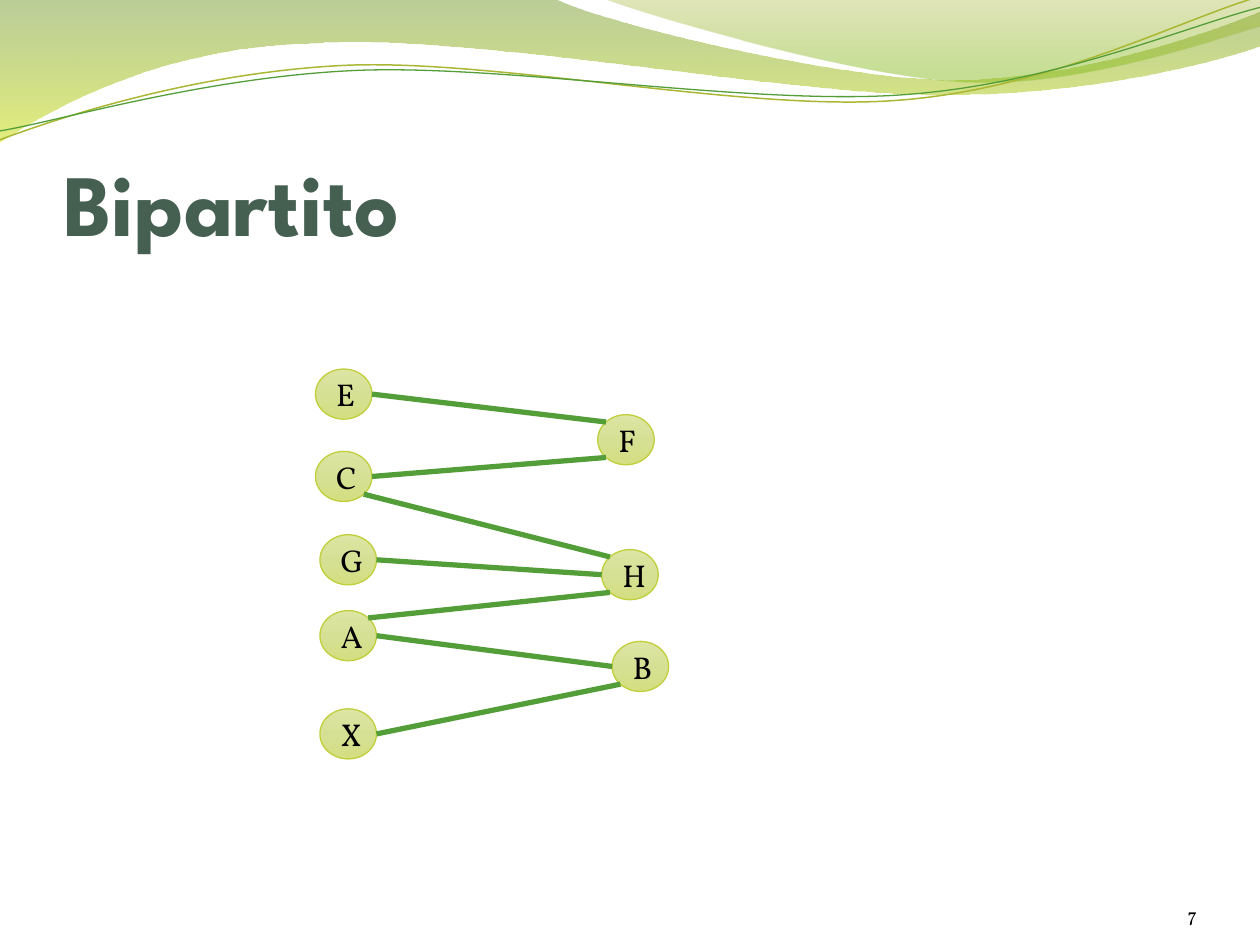
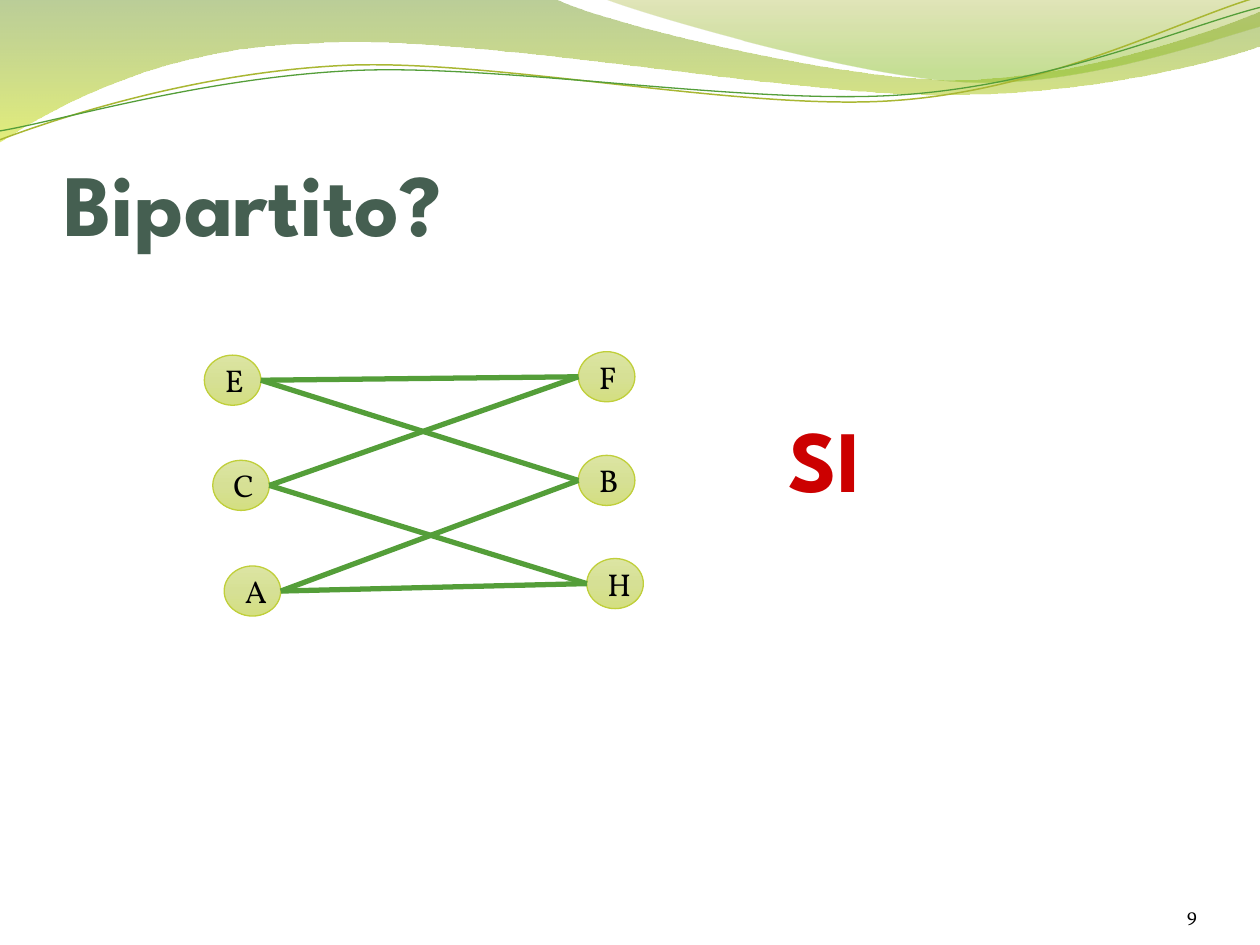
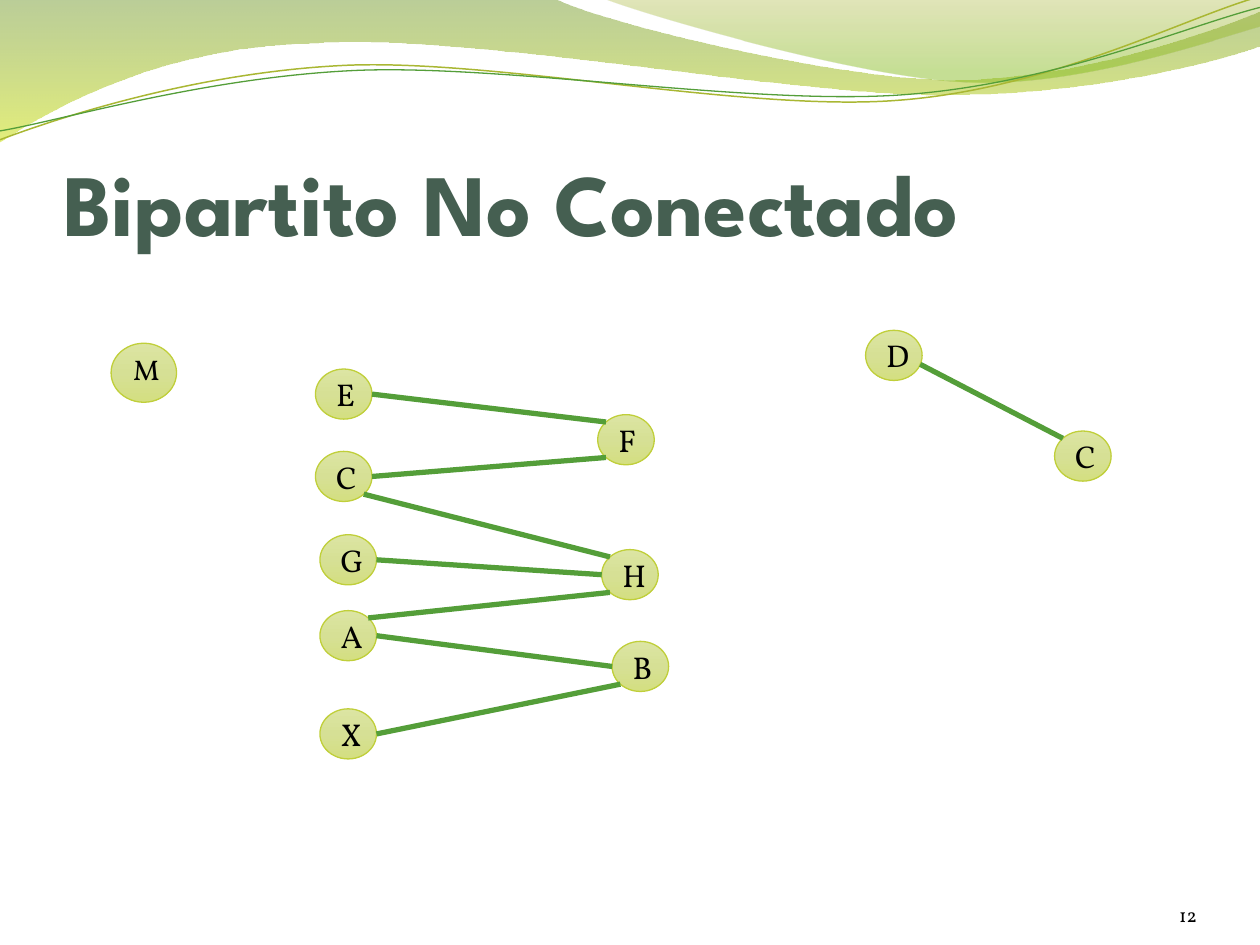
"""Build three slides about bipartite graphs."""
from dataclasses import dataclass
from math import cos, radians, sin
from typing import NamedTuple, Optional

from lxml.etree import SubElement
from pptx import Presentation
from pptx.dml.color import RGBColor
from pptx.enum.shapes import MSO_CONNECTOR as CONN, MSO_SHAPE as SHAPE
from pptx.enum.text import MSO_ANCHOR as ANCHOR, MSO_AUTO_SIZE as FIT, PP_ALIGN as ALIGN
from pptx.oxml.ns import qn
from pptx.util import Cm, Pt

HEAD_FONT, BODY_FONT = "League Spartan", "Vollkorn"
TITLE, ANSWER, BLACK = "455F51", "CC0000", "000000"
EDGE, NODE_LINE = "549E39", "C0CF3A"
RIGHT, LOWER_RIGHT, LOWER_LEFT, LEFT, UPPER_LEFT, UPPER_RIGHT = 0, 45, 135, 180, 225, 315
TILT = 357.3


class Stop(NamedTuple):
    pos: int
    color: str
    alpha: int = 100


class Edge(NamedTuple):
    a: str
    a_angle: float
    b: str
    b_angle: float


class Style(NamedTuple):
    font: str
    size: float
    color: str
    bold: bool = False
    align: ALIGN = ALIGN.LEFT


@dataclass(frozen=True)
class Node:
    name: str
    x: float
    y: float
    w: float = 1.14
    h: float = 1.01
    size: float = 18
    spacing: float = 1.0

    def site(self, angle: float) -> tuple:
        rx, ry, t = self.w / 2, self.h / 2, radians(angle)
        return Cm(self.x + rx + rx * cos(t)), Cm(self.y + ry + ry * sin(t))


@dataclass(frozen=True)
class Graph:
    nodes: tuple
    edges: tuple = ()


@dataclass(frozen=True)
class Wave:
    start: tuple
    pieces: tuple
    stops: tuple = ()
    color: str = ""
    width: float = 0


@dataclass(frozen=True)
class Page:
    title: str
    number: str
    graphs: tuple
    answer: Optional[str] = None


NODE_STOPS = (Stop(0, "DCE5A3"), Stop(50, "D6E095"), Stop(100, "D4DF81"))

WAVES = (
    Wave((0, 0), (
        (11.18, -0.03),
        (12.07, 0.43, 16.84, 1.6, 19.25, 1.6),
        (21.67, 1.6, 24.33, 0.66, 25.4, 0.23),
        (25.43, 0.91),
        (24.97, 1.12, 22.07, 1.93, 18.95, 1.91),
        (15.8, 1.91, 9.68, 0.71, 6.53, 0.86),
        (3.28, 0.91, 1.17, 2.11, -0.03, 2.87),
    ), stops=(Stop(0, "69921C", 45), Stop(100, "CCE10F", 55))),
    Wave((12.17, -0.03), (
        (12.93, 0.28, 17.32, 1.57, 19.51, 1.65),
        (21.72, 1.75, 24.41, 0.81, 25.4, 0.53),
        (25.4, 0),
    ), stops=(Stop(0, "9BAA1A", 30), Stop(80, "81BA16", 45))),
    Wave((-0.05, 2.22), (
        (1.19, 1.82, 4, 1.04, 7.02, 1.05),
        (10.05, 1.07, 15, 2.37, 18.05, 2.28),
        (21.13, 2.2, 23.87, 0.91, 25.38, 0.55),
    ), color="A9B733", width=0.85),
    Wave((-0.04, 2.04), (
        (1.16, 1.9, 4.15, 1.15, 7.2, 1.16),
        (10.22, 1.18, 15.13, 2.25, 18.18, 2.17),
        (21.21, 2.1, 23.93, 1.06, 25.45, 0.75),
    ), color=EDGE, width=0.75),
)

TREE = Graph(
    (Node("E", 6.36, 7.44), Node("C", 6.36, 9.1), Node("G", 6.45, 10.78),
     Node("A", 6.45, 12.31), Node("X", 6.45, 14.29),
     Node("F", 12.05, 8.36), Node("H", 12.13, 11.08), Node("B", 12.34, 12.93)),
    (Edge("E", RIGHT, "F", UPPER_LEFT), Edge("C", RIGHT, "F", LOWER_LEFT),
     Edge("C", LOWER_RIGHT, "H", UPPER_LEFT), Edge("G", RIGHT, "H", LEFT),
     Edge("A", UPPER_RIGHT, "H", LOWER_LEFT), Edge("A", RIGHT, "B", LEFT),
     Edge("X", RIGHT, "B", LOWER_LEFT)))

CYCLE = Graph(
    (Node("E", 4.12, 7.16), Node("C", 4.29, 9.28), Node("A", 4.52, 11.41),
     Node("F", 11.66, 7.09), Node("B", 11.66, 9.18), Node("H", 11.83, 11.26)),
    tuple(Edge(a, RIGHT, b, LEFT) for a, b in ("EF", "EB", "CF", "CH", "AB", "AH")))

PAIR = Graph((Node("D", 17.45, 6.66), Node("C", 21.26, 8.69)),
             (Edge("D", 21, "C", UPPER_LEFT),))
SINGLE = Graph((Node("M", 2.24, 6.92, 1.32, 1.19, 16.2, 0.8),))

PAGES = (
    Page("Bipartito", "7", (TREE,)),
    Page("Bipartito?", "9", (CYCLE,), "SI"),
    Page("Bipartito No Conectado", "12", (TREE, PAIR, SINGLE)),
)


def rgb(color: str) -> RGBColor:
    return RGBColor.from_string(color)


def set_gradient(sp, stops: tuple) -> None:
    sp.fill.gradient()
    sp.fill.gradient_angle = 270
    gs_list = sp.element.spPr.find(qn("a:gradFill")).find(qn("a:gsLst"))
    for gs in list(gs_list):
        gs_list.remove(gs)
    for stop in stops:
        gs = SubElement(gs_list, qn("a:gs"), pos=str(stop.pos * 1000))
        clr = SubElement(gs, qn("a:srgbClr"), val=stop.color)
        if stop.alpha < 100:
            SubElement(clr, qn("a:alpha"), val=str(stop.alpha * 1000))


def set_line(sp, color: str, width: float) -> None:
    sp.line.color.rgb = rgb(color)
    sp.line.width = Pt(width)


def set_text(tf, text: str, style: Style, anchor: ANCHOR, insets: tuple) -> None:
    tf.word_wrap, tf.auto_size, tf.vertical_anchor = True, FIT.NONE, anchor
    tf.margin_left, tf.margin_top, tf.margin_right, tf.margin_bottom = map(Cm, insets)
    p = tf.paragraphs[0]
    p.text, p.alignment = text, style.align
    p.font.name, p.font.size, p.font.bold = style.font, Pt(style.size), style.bold
    p.font.color.rgb = rgb(style.color)


def add_label(s, box: tuple, text: str, style: Style, insets: tuple) -> None:
    sp = s.shapes.add_textbox(*map(Cm, box))
    set_text(sp.text_frame, text, style, ANCHOR.BOTTOM, insets)


def bend(sp, pieces: tuple) -> None:
    outline = next(sp.element.iter(qn("a:path")))
    segments = iter(outline.findall(qn("a:lnTo")))
    for piece in pieces:
        first = next(segments)
        if len(piece) == 6:
            curve = SubElement(outline, qn("a:cubicBezTo"))
            first.addprevious(curve)
            for segment in (first, next(segments), next(segments)):
                curve.append(segment[0])
                outline.remove(segment)


def add_waves(s, layout) -> None:
    for i, wave in enumerate(WAVES):
        builder = s.shapes.build_freeform(*map(Cm, wave.start))
        points = [(Cm(x), Cm(y)) for piece in wave.pieces
                  for x, y in zip(piece[::2], piece[1::2])]
        builder.add_line_segments(points, close=bool(wave.stops))
        sp = builder.convert_to_shape()
        bend(sp, wave.pieces)
        sp.shadow.inherit = False
        if wave.stops:
            set_gradient(sp, wave.stops)
            sp.line.fill.background()
        else:
            sp.fill.background()
            set_line(sp, wave.color, wave.width)
            sp.rotation = TILT
        sp.element.nvSpPr.cNvPr.set("id", str(20 + i))
        layout.element.cSld.spTree.insert(2 + i, sp.element)


def add_node(s, node: Node) -> None:
    sp = s.shapes.add_shape(SHAPE.OVAL, Cm(node.x), Cm(node.y), Cm(node.w), Cm(node.h))
    sp.shadow.inherit = False
    set_gradient(sp, NODE_STOPS)
    set_line(sp, NODE_LINE, 0.75)
    style = Style(BODY_FONT, node.size, BLACK, align=ALIGN.CENTER)
    set_text(sp.text_frame, node.name, style, ANCHOR.MIDDLE, (0.25, 0.13, 0.25, 0.13))
    sp.text_frame.paragraphs[0].line_spacing = node.spacing


def add_graph(s, graph: Graph) -> None:
    nodes = {node.name: node for node in graph.nodes}
    for node in graph.nodes:
        add_node(s, node)
    for edge in graph.edges:
        start = nodes[edge.a].site(edge.a_angle)
        end = nodes[edge.b].site(edge.b_angle)
        line = s.shapes.add_connector(CONN.STRAIGHT, *start, *end)
        set_line(line, EDGE, 3)
        SubElement(line.element.spPr, qn("a:effectLst"))


def add_page(prs, layout, page: Page):
    s = prs.slides.add_slide(layout)
    title_insets = (0, 0.13, 0, 0)
    sp = s.shapes.title
    sp.left, sp.top, sp.width, sp.height = map(Cm, (1.27, 1.95, 22.86, 3.18))
    set_text(sp.text_frame, page.title, Style(HEAD_FONT, 50, TITLE, True),
             ANCHOR.BOTTOM, title_insets)
    add_label(s, (22.02, 17.65, 2.11, 1.02), page.number,
              Style(BODY_FONT, 11, BLACK, align=ALIGN.RIGHT), (0, 0, 0, 0))
    for graph in page.graphs:
        add_graph(s, graph)
    if page.answer:
        add_label(s, (15.9, 7.11, 8.64, 3.18), page.answer,
                  Style(HEAD_FONT, 50, ANSWER, True), title_insets)
    return s


def main() -> None:
    prs = Presentation()
    prs.slide_width, prs.slide_height = Cm(25.4), Cm(19.05)
    layout = prs.slide_layouts[5]
    slides = [add_page(prs, layout, page) for page in PAGES]
    add_waves(slides[0], layout)
    prs.save("out.pptx")


if __name__ == "__main__":
    main()
